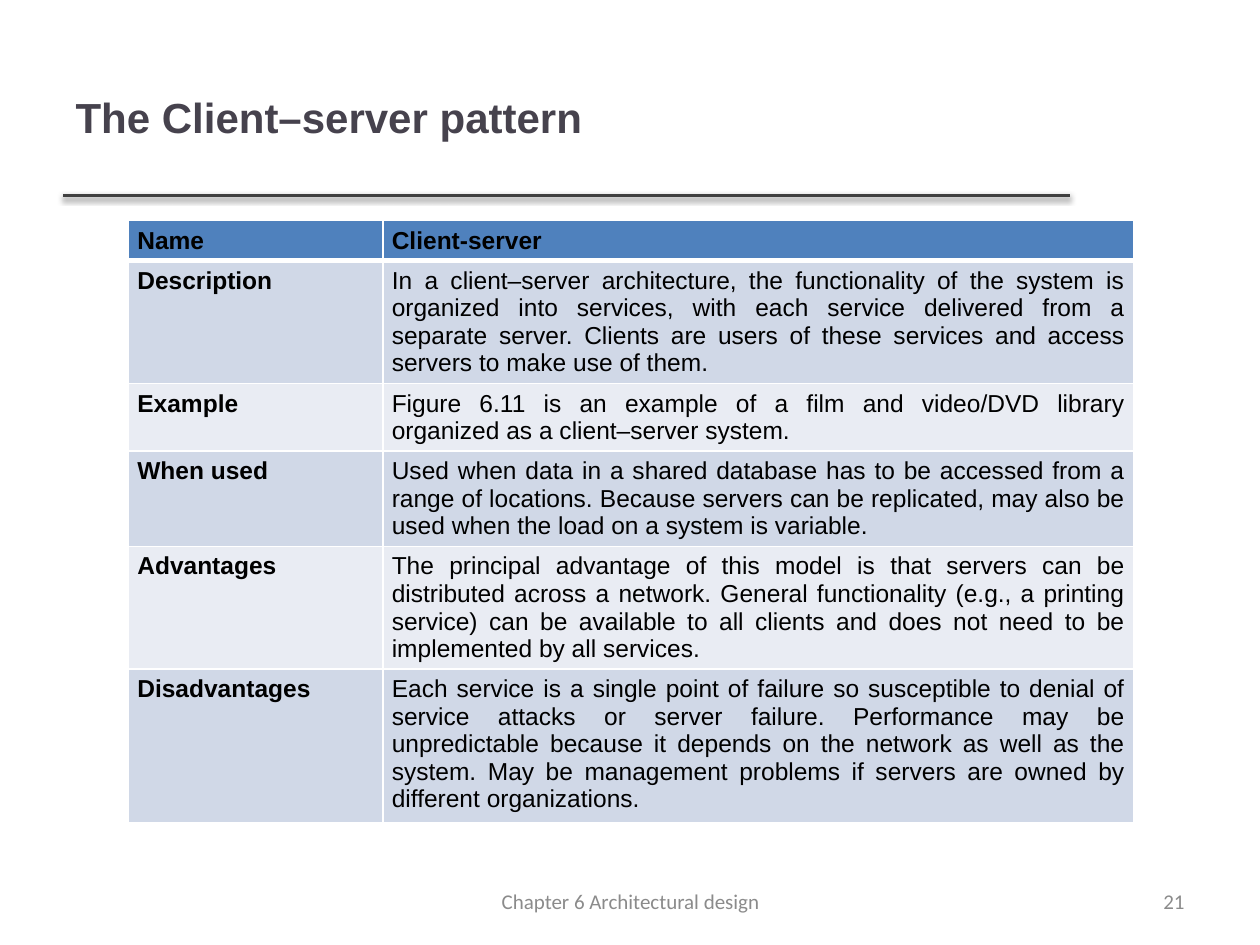
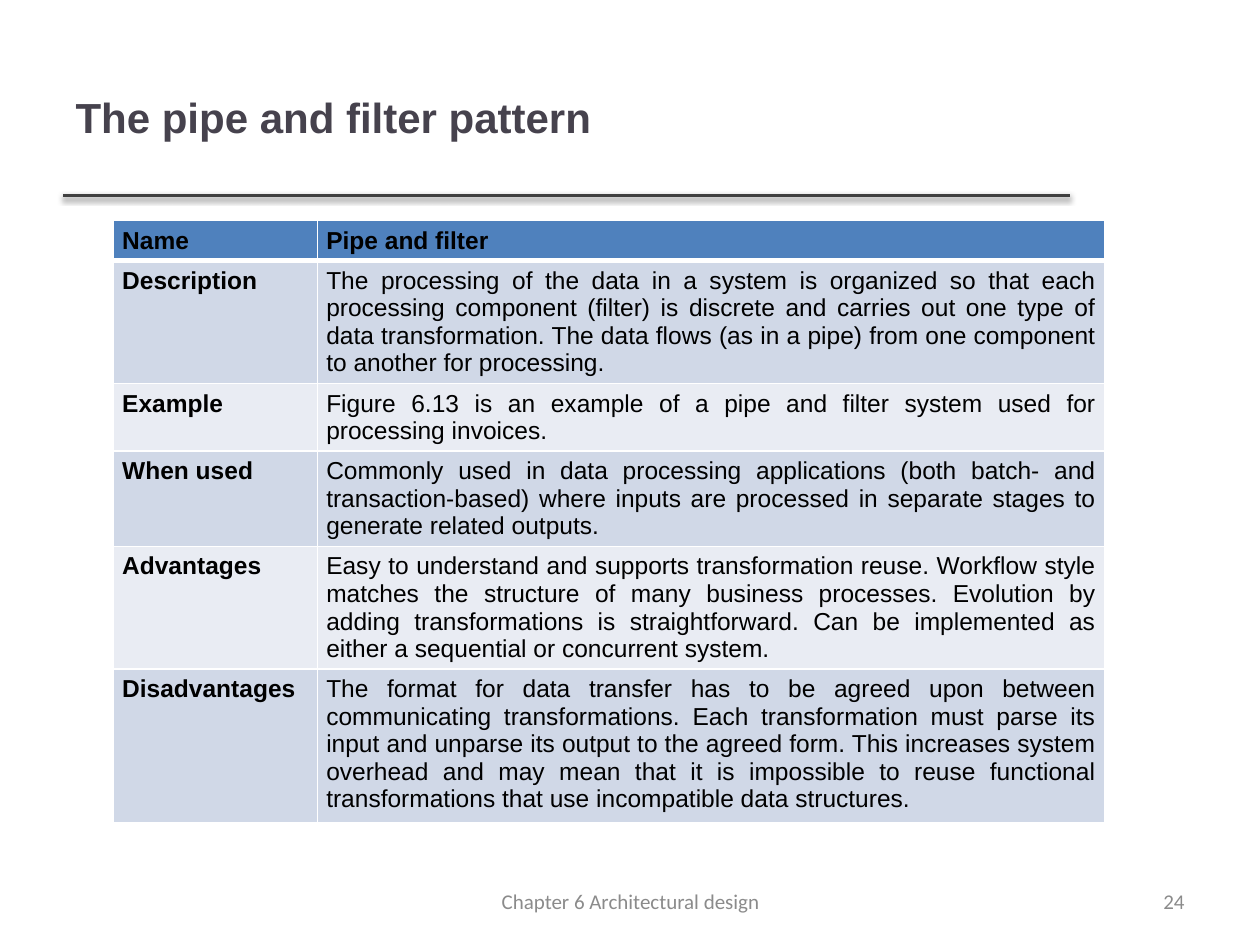
from dataclasses import dataclass

from lxml import etree
from pptx import Presentation
from pptx.dml.color import RGBColor
from pptx.enum.shapes import MSO_CONNECTOR
from pptx.enum.text import MSO_ANCHOR, PP_ALIGN
from pptx.oxml import parse_xml
from pptx.oxml.ns import nsdecls, qn
from pptx.util import Inches, Pt

STRAIGHT = MSO_CONNECTOR.STRAIGHT
MIDDLE = MSO_ANCHOR.MIDDLE
LEFT, CENTER, RIGHT, JUSTIFY = (
    PP_ALIGN.LEFT, PP_ALIGN.CENTER, PP_ALIGN.RIGHT, PP_ALIGN.JUSTIFY)

INK = RGBColor(0x46, 0x42, 0x4D)
RULE = RGBColor(0x40, 0x40, 0x40)
GREY = RGBColor(0x8B, 0x8B, 0x8B)
BLACK = RGBColor(0x00, 0x00, 0x00)
WHITE = RGBColor(0xFF, 0xFF, 0xFF)
BLUE = RGBColor(0x4F, 0x81, 0xBD)
BANDS = (RGBColor(0xE9, 0xEC, 0xF3), RGBColor(0xD0, 0xD8, 0xE7))

FOOTER = "Chapter 6 Architectural design"
LABELS = ("Name", "Description", "Example", "When used",
          "Advantages", "Disadvantages")
HEIGHTS = (0.25, 0.97, 0.49, 0.73, 0.97, 1.22)
THIN, THICK = 0.96, 3


@dataclass(frozen=True)
class Style:
    font: str
    size: float
    color: RGBColor
    bold: bool = False
    align: PP_ALIGN = LEFT


@dataclass(frozen=True)
class Box:
    left: float
    top: float
    width: float
    height: float


@dataclass(frozen=True)
class Pattern:
    title: str
    page: int
    left: float
    widths: tuple[float, float]
    facts: tuple[str, ...]


TITLE = Style("Arial", 24, INK, True)
LABEL = Style("Arial", 14, BLACK, True, JUSTIFY)
FACT = Style("Arial", 14, BLACK, False, JUSTIFY)
NOTE = Style("Calibri", 12, GREY, False, CENTER)
PAGE = Style("Calibri", 12, GREY, False, RIGHT)

HEAD_BOX = Box(0.5, 0.3, 7.98, 1.25)
NOTE_BOX = Box(3.42, 6.95, 3.17, 0.4)
PAGE_BOX = Box(7.17, 6.95, 2.33, 0.4)

PATTERNS = (
    Pattern("The Client–server pattern", 21, 1.02, (2.02, 5.96), (
        "Client-server",
        "In a client–server architecture, the functionality of the system "
        "is organized into services, with each service delivered from a "
        "separate server. Clients are users of these services and access "
        "servers to make use of them.",
        "Figure 6.11 is an example of a film and video/DVD library "
        "organized as a client–server system.",
        "Used when data in a shared database has to be accessed from a "
        "range of locations. Because servers can be replicated, may also "
        "be used when the load on a system is variable.",
        "The principal advantage of this model is that servers can be "
        "distributed across a network. General functionality (e.g., a "
        "printing service) can be available to all clients and does not "
        "need to be implemented by all services.",
        "Each service is a single point of failure so susceptible to "
        "denial of service attacks or server failure. Performance may be "
        "unpredictable because it depends on the network as well as the "
        "system. May be management problems if servers are owned by "
        "different organizations.")),
    Pattern("The pipe and filter pattern", 24, 0.9, (1.62, 6.25), (
        "Pipe and filter",
        "The processing of the data in a system is organized so that each "
        "processing component (filter) is discrete and carries out one "
        "type of data transformation. The data flows (as in a pipe) from "
        "one component to another for processing.",
        "Figure 6.13 is an example of a pipe and filter system used for "
        "processing invoices.",
        "Commonly used in data processing applications (both batch- and "
        "transaction-based) where inputs are processed in separate stages "
        "to generate related outputs.",
        "Easy to understand and supports transformation reuse. Workflow "
        "style matches the structure of many business processes. Evolution "
        "by adding transformations is straightforward. Can be implemented "
        "as either a sequential or concurrent system.",
        "The format for data transfer has to be agreed upon between "
        "communicating transformations. Each transformation must parse its "
        "input and unparse its output to the agreed form. This increases "
        "system overhead and may mean that it is impossible to reuse "
        "functional transformations that use incompatible data "
        "structures.")),
)


def write(frame, text: str, style: Style) -> None:
    frame.text = text
    frame.word_wrap = True
    for para in frame.paragraphs:
        para.alignment = style.align
        for run in para.runs:
            run.font.name = style.font
            run.font.size = Pt(style.size)
            run.font.bold = style.bold
            run.font.color.rgb = style.color


def place(shape, box: Box) -> None:
    shape.left, shape.top = Inches(box.left), Inches(box.top)
    shape.width, shape.height = Inches(box.width), Inches(box.height)


def add_title(slide, text: str) -> None:
    title = slide.shapes.title
    place(title, HEAD_BOX)
    write(title.text_frame, text, TITLE)
    title.text_frame.vertical_anchor = MIDDLE


def add_note(slide, text: str, box: Box, style: Style) -> None:
    note = slide.shapes.add_textbox(0, 0, 0, 0)
    write(note.text_frame, text, style)
    note.text_frame.vertical_anchor = MIDDLE
    place(note, box)


def add_rule(slide) -> None:
    rule = slide.shapes.add_connector(
        STRAIGHT, Inches(0.5), Inches(1.55), Inches(8.49), Inches(1.55))
    rule.line.color.rgb = RULE
    rule.line.width = Pt(2)
    rule._element.spPr.append(parse_xml(
        f'<a:effectLst {nsdecls("a")}>'
        f'<a:outerShdw blurRad="{Pt(3.1)}" dist="{Pt(1.6)}" dir="5400000" '
        'rotWithShape="0"><a:srgbClr val="000000"><a:alpha val="38000"/>'
        '</a:srgbClr></a:outerShdw></a:effectLst>'))


def add_edges(cell, row: int) -> None:
    edges = {"lnL": THIN, "lnR": THIN,
             "lnT": THICK if row == 1 else THIN,
             "lnB": THICK if row == 0 else THIN}
    props = cell._tc.get_or_add_tcPr()
    for tag, width in edges.items():
        edge = etree.SubElement(props, qn(f"a:{tag}"), w=str(Pt(width)))
        fill = etree.SubElement(edge, qn("a:solidFill"))
        etree.SubElement(fill, qn("a:srgbClr"), val=str(WHITE))


def fill_cell(cell, text: str, row: int, style: Style) -> None:
    write(cell.text_frame, text, style)
    cell.margin_left = cell.margin_right = Inches(0.07)
    cell.margin_top = cell.margin_bottom = Inches(0.05)
    add_edges(cell, row)
    cell.fill.solid()
    cell.fill.fore_color.rgb = BANDS[row % 2] if row else BLUE


def add_grid(slide, item: Pattern) -> None:
    grid = slide.shapes.add_table(
        len(LABELS), 2, Inches(item.left), Inches(1.75),
        Inches(sum(item.widths)), Inches(sum(HEIGHTS))).table
    for col, width in zip(grid.columns, item.widths):
        col.width = Inches(width)
    for row, (label, fact) in enumerate(zip(LABELS, item.facts)):
        grid.rows[row].height = Inches(HEIGHTS[row])
        fill_cell(grid.cell(row, 0), label, row, LABEL)
        fill_cell(grid.cell(row, 1), fact, row, FACT if row else LABEL)


def main() -> None:
    deck = Presentation()
    deck.slide_width, deck.slide_height = Inches(10), Inches(7.5)
    for item in PATTERNS:
        slide = deck.slides.add_slide(deck.slide_layouts[5])
        add_rule(slide)
        add_title(slide, item.title)
        add_grid(slide, item)
        add_note(slide, str(item.page), PAGE_BOX, PAGE)
        add_note(slide, FOOTER, NOTE_BOX, NOTE)
    deck.save("out.pptx")


if __name__ == "__main__":
    main()
